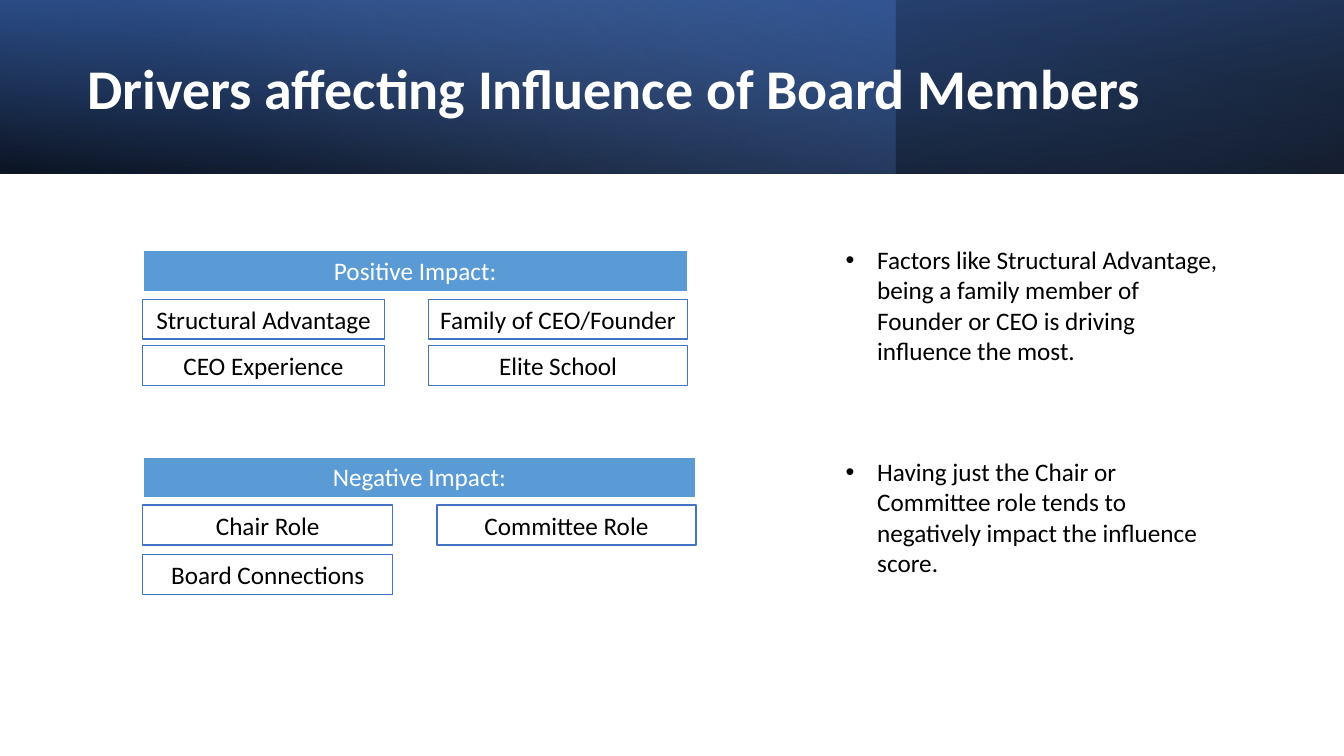
from lxml import etree
from pptx import Presentation
from pptx.dml.color import RGBColor
from pptx.enum.shapes import MSO_SHAPE
from pptx.enum.text import MSO_ANCHOR, MSO_AUTO_SIZE, PP_ALIGN
from pptx.oxml import parse_xml
from pptx.oxml.ns import qn
from pptx.util import Pt

PX = 9525
RECT = MSO_SHAPE.RECTANGLE
MIDDLE = MSO_ANCHOR.MIDDLE
GROW = MSO_AUTO_SIZE.SHAPE_TO_FIT_TEXT
CENTER = PP_ALIGN.CENTER
FONT = "Calibri"
BLACK, WHITE = "000000", "FFFFFF"
BLUE, HEADER_BLUE, NAVY, PALE = "4472C4", "5B9BD5", "2F5597", "8FAADC"
W, H = 1280, 720
CHIP_H, GAP, RIGHT_CHIP_W = 38, 7, 247
DRAWING_NS = "http://schemas.openxmlformats.org/drawingml/2006/main"


def rgb(value):
    return RGBColor.from_string(value)


def emu(*lengths):
    return [n * PX for n in lengths]


def add_rect(s, x, y, w, h):
    sp = s.shapes.add_shape(RECT, *emu(x, y, w, h))
    sp.shadow.inherit = False
    return sp


def style(p, size, color, bold=False):
    for r in p.runs:
        r.font.name = FONT
        r.font.size = Pt(size)
        r.font.bold = bold
        r.font.color.rgb = rgb(color)


def fill_gradient(sp, stops, angle):
    """Fill with (position %, colour, opacity %) stops; angle is clockwise."""
    sp.line.fill.background()
    gs = "".join(
        f'<a:gs pos="{pos * 1000}"><a:srgbClr val="{color}">'
        f'<a:alpha val="{alpha * 1000}"/></a:srgbClr></a:gs>'
        for pos, color, alpha in stops)
    grad = parse_xml(
        f'<a:gradFill xmlns:a="{DRAWING_NS}" rotWithShape="1"><a:gsLst>{gs}</a:gsLst>'
        f'<a:lin ang="{angle * 60000}" scaled="0"/></a:gradFill>')
    sp_pr = sp._element.spPr
    sp_pr.replace(sp_pr.find(qn("a:solidFill")), grad) if sp_pr.find(
        qn("a:solidFill")) is not None else sp_pr.find(qn("a:prstGeom")).addnext(grad)


def flip(sp):
    sp._element.spPr.find(qn("a:xfrm")).set("flipH", "1")


def banner(s, x, y, w, h, title):
    base = add_rect(s, x, y, w, h)
    fill_gradient(base, [(0, BLACK, 96), (100, NAVY, 100)], 100)
    base.rotation = 180
    flip(base)

    glow = add_rect(s, x, y, w * 2 // 3, h)
    fill_gradient(glow, [(0, BLUE, 41), (74, PALE, 0), (100, PALE, 0)], 140)

    shade = add_rect(s, x, y, w, h)
    fill_gradient(shade, [(0, BLACK, 63), (78, BLUE, 15), (100, BLUE, 15)], 260)
    flip(shade)

    tf = s.shapes.add_textbox(*emu(x + 74, y + 26, 1052, 122)).text_frame
    tf.word_wrap = True
    tf.vertical_anchor = MIDDLE
    p = tf.paragraphs[0]
    p.text = title
    p.line_spacing = 0.9
    style(p, 40, WHITE, bold=True)


def label(s, x, y, w, h, text, fill, line, line_width, color):
    sp = add_rect(s, x, y, w, h)
    sp.fill.solid()
    sp.fill.fore_color.rgb = rgb(fill)
    sp.line.color.rgb = rgb(line)
    sp.line.width = Pt(line_width)
    tf = sp.text_frame
    tf.word_wrap = True
    tf.auto_size = GROW
    tf.vertical_anchor = MSO_ANCHOR.TOP
    p = tf.paragraphs[0]
    p.text = text
    p.alignment = CENTER
    style(p, 18, color)


def impact_group(s, x, y, w, head_h, left_w, pitch, heading, drivers):
    """Place the drivers in two columns, row by row, under a heading."""
    columns = [(x, left_w), (x + w - RIGHT_CHIP_W, RIGHT_CHIP_W)]
    top = y + head_h + GAP
    for i, driver in enumerate(drivers):
        row, col = divmod(i, 2)
        chip_x, chip_w = columns[col]
        label(s, chip_x, top + row * pitch, chip_w, CHIP_H, driver,
              WHITE, BLUE, 1, BLACK)
    label(s, x, y, w, head_h, heading, HEADER_BLUE, WHITE, 1.5, WHITE)


def findings(s, x, y, w, h, points):
    tf = s.shapes.add_textbox(*emu(x, y, w, h)).text_frame
    tf.word_wrap = True
    for i, point in enumerate(points):
        p = tf.add_paragraph() if i else tf.paragraphs[0]
        p.text = point
        p.space_before = Pt(65 if i else 0)
        style(p, 18, BLACK)
        p_pr = p._p.get_or_add_pPr()
        p_pr.set("marL", str(30 * PX))
        p_pr.set("indent", str(-30 * PX))
        etree.SubElement(p_pr, qn("a:buFont")).set("typeface", "Arial")
        etree.SubElement(p_pr, qn("a:buChar")).set("char", "•")


def main():
    prs = Presentation()
    prs.slide_width, prs.slide_height = emu(W, H)
    s = prs.slides.add_slide(prs.slide_layouts[6])
    banner(s, 0, 0, W, 165, "Drivers affecting Influence of Board Members")
    findings(s, 796, 228, 381, 329, [
        "Factors like Structural Advantage, being a family member of "
        "Founder or CEO is driving influence the most.",
        "Having just the Chair or Committee role tends to negatively "
        "impact the influence score.",
    ])
    impact_group(s, 136, 238, 519, 40, 230, 44, "Positive Impact:", [
        "Structural Advantage", "Family of CEO/Founder",
        "CEO Experience", "Elite School"])
    impact_group(s, 136, 435, 527, 39, 238, 47, "Negative Impact:", [
        "Chair Role", "Committee Role", "Board Connections"])
    prs.save("out.pptx")


if __name__ == "__main__":
    main()
